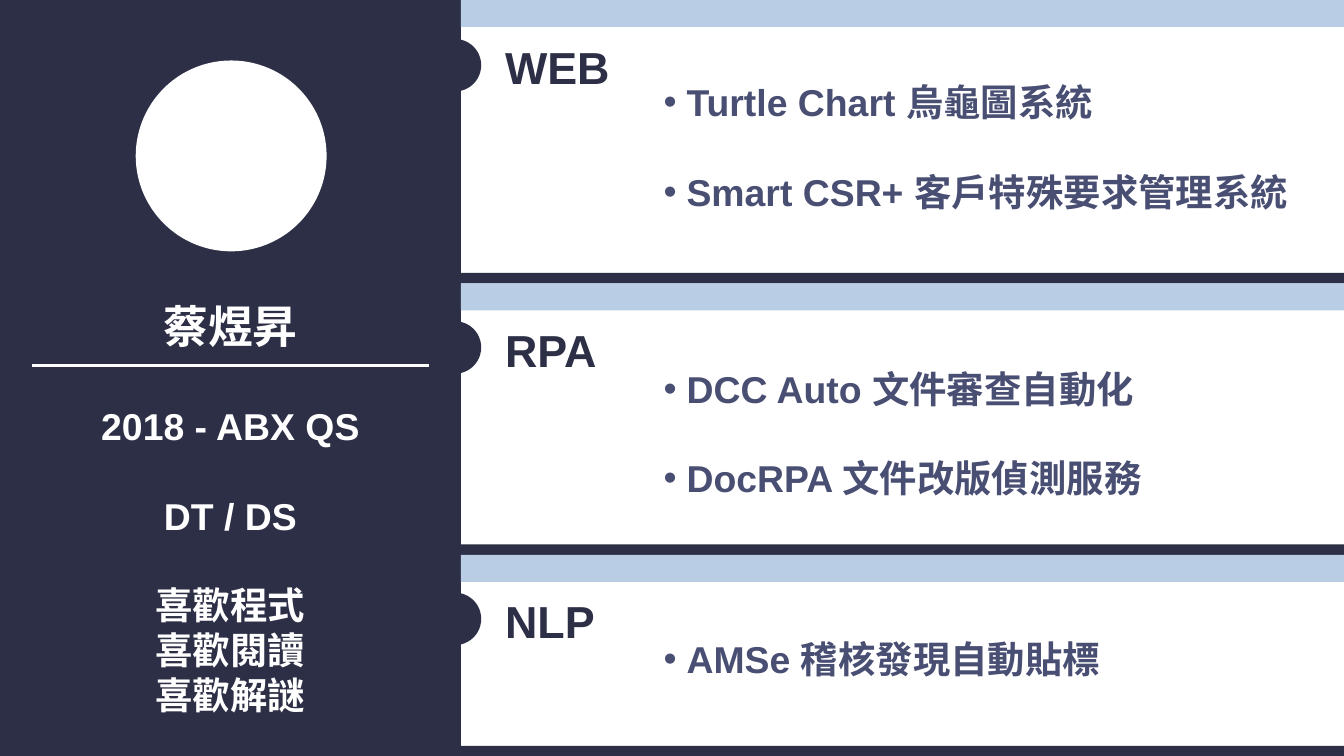
from lxml.etree import SubElement as Sub
from pptx import Presentation
from pptx.dml.color import RGBColor as RGB
from pptx.enum.shapes import MSO_CONNECTOR as LINE, MSO_SHAPE as SHAPE
from pptx.enum.text import PP_ALIGN as ALIGN
from pptx.oxml.ns import qn
from pptx.util import Inches, Pt

COLORS = {"dark": "2C2F45", "band": "B9CDE5", "text": "494E73", "white": "FFFFFF"}

# Widescreen page, 16 to 9
wide = 10
tall = wide * 9 / 16
deck = Presentation()
deck.slide_width, deck.slide_height = Inches(wide), Inches(tall)
slide = deck.slides.add_slide(deck.slide_layouts[6])


def add_fill(kind, box, color):
    shape = slide.shapes.add_shape(kind, *map(Inches, box))
    shape.shadow.inherit = False
    shape.fill.solid()
    shape.fill.fore_color.rgb = RGB.from_string(COLORS[color])
    shape.line.fill.background()


def add_text(box, lines, size, color, align=ALIGN.LEFT, font="Arial"):
    frame = slide.shapes.add_textbox(*map(Inches, box)).text_frame
    frame.word_wrap = True
    frame.text = "\n".join(lines)
    for para in frame.paragraphs:
        para.alignment = align
        style = para.runs[0].font
        style.name, style.size, style.bold = font, Pt(size), True
        style.color.rgb = RGB.from_string(COLORS[color])
    return frame.paragraphs


# Profile column
side = 3.43
add_fill(SHAPE.RECTANGLE, (0, 0, side, tall), "dark")
add_fill(SHAPE.OVAL, (1.01, 0.45, 1.42, 1.42), "white")
add_text((0, 2.17, side, 0.5), ["蔡煜昇"], 24, "white", ALIGN.CENTER, "Noto Sans CJK SC")
facts = ["2018 - ABX QS", "DT / DS", "喜歡程式", "喜歡閱讀", "喜歡解謎"]
paras = add_text((0, 2.95, side, 2.46), facts, 20, "white", ALIGN.CENTER)
for para in paras[1:3]:
    para.space_before = Pt(24)

rule = slide.shapes.add_connector(
    LINE.STRAIGHT, Inches(0.24), Inches(2.72), Inches(3.19), Inches(2.72))
rule.line.color.rgb = RGB.from_string(COLORS["white"])
rule.line.width = Pt(1.5)
Sub(rule.element.spPr, qn("a:effectLst"))

# Skill panels: heading, tops of band, dot and closing bar, top and height of list, items
panels = [
    ("WEB", 0, 0.29, 2.03, 0.21, 1.45,
     ["Turtle Chart 烏龜圖系統", "Smart CSR+ 客戶特殊要求管理系統"]),
    ("RPA", 2.11, 2.39, 4.05, 2.34, 1.45,
     ["DCC Auto 文件審查自動化", "DocRPA 文件改版偵測服務"]),
    ("NLP", 4.13, 4.41, 5.55, 4.35, 0.67, ["AMSe 稽核發現自動貼標"]),
]
for head, top, dot, end, start, high, items in panels:
    add_fill(SHAPE.RECTANGLE, (side, top, wide - side, 0.2), "band")
    add_fill(SHAPE.RECTANGLE, (side, end, wide - side, 0.08), "dark")
    add_fill(SHAPE.OVAL, (3.19, dot, 0.39, 0.39), "dark")
    add_text((3.66, dot - 0.04, 1.02, 0.5), [head], 24, "dark")
    for para in add_text((4.84, start, 5.04, high), items, 20, "text"):
        para.line_spacing = 2.0
        # Bullet with a hanging indent
        props = para._p.get_or_add_pPr()
        props.set("marL", str(Inches(0.17)))
        props.set("indent", str(-Inches(0.17)))
        Sub(props, qn("a:buFont"), typeface="Arial")
        Sub(props, qn("a:buChar"), char="•")

deck.save("out.pptx")
